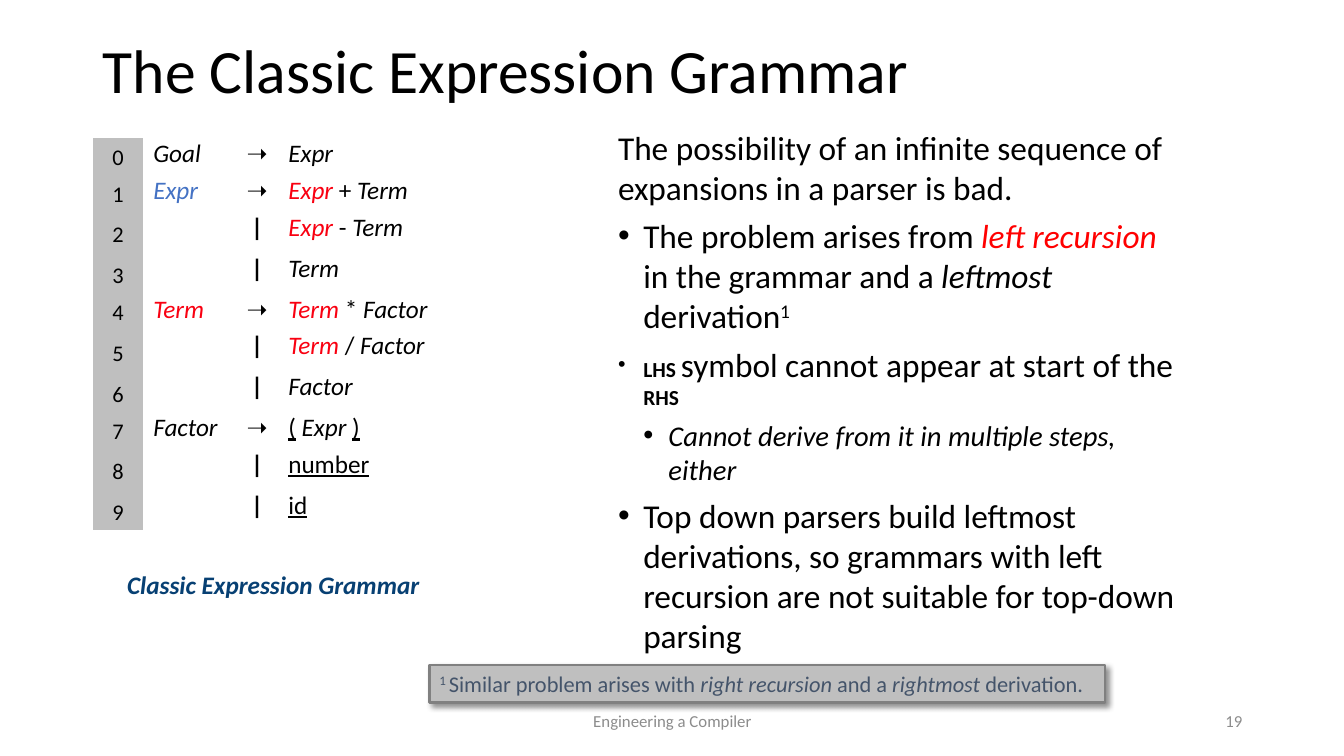
from lxml import etree
from pptx import Presentation
from pptx.dml.color import RGBColor
from pptx.enum.shapes import MSO_SHAPE
from pptx.enum.text import MSO_ANCHOR, MSO_AUTO_SIZE, PP_ALIGN
from pptx.oxml import parse_xml
from pptx.oxml.ns import nsdecls, qn
from pptx.util import Inches, Pt

LEFT, CENTER, RIGHT = PP_ALIGN.LEFT, PP_ALIGN.CENTER, PP_ALIGN.RIGHT
TOP, MIDDLE, BOTTOM = MSO_ANCHOR.TOP, MSO_ANCHOR.MIDDLE, MSO_ANCHOR.BOTTOM
NO_AUTOFIT = MSO_AUTO_SIZE.NONE
RECTANGLE = MSO_SHAPE.RECTANGLE
NO_TABLE_STYLE = "{2D5ABB26-0587-4C30-8999-92F81FD0307C}"
FONT = "Calibri"
COLORS = {
    "text": "000000", "grey": "BFBFBF", "border": "808080", "footer": "8C8C8C",
    "caption": "074073", "note": "44546A", "blue": "4472C4", "red": "F90011",
    "bright red": "FF0000",
}

ITALIC = {"italic": True}
BOLD = {"bold": True}
UNDERLINE = {"underline": True}
RED = {"italic": True, "color": "red"}
BLUE = {"italic": True, "color": "blue"}
SUPERSCRIPT = {"raised": True}
SMALL_BOLD = {"bold": True, "size": 15.3}

# Each rule: left-hand side runs, right-hand side runs
RULES = [
    ([("Goal", ITALIC)], [("Expr", ITALIC)]),
    ([("Expr", BLUE)], [("Expr ", RED), ("+ ", {}), ("Term", ITALIC)]),
    ([], [("Expr ", RED), ("- ", {}), ("Term", ITALIC)]),
    ([], [("Term", ITALIC)]),
    ([("Term", RED)], [("Term ", RED), ("* ", {}), ("Factor", ITALIC)]),
    ([], [("Term ", RED), ("/ ", {}), ("Factor", ITALIC)]),
    ([], [("Factor", ITALIC)]),
    ([("Factor", ITALIC)],
     [("(", UNDERLINE), (" ", {}), ("Expr ", ITALIC), (")", UNDERLINE)]),
    ([], [("number", UNDERLINE)]),
    ([], [("id", UNDERLINE)]),
]

# Each paragraph: level (None for no bullet), text size, runs
POINTS = [
    (None, 23.8, [("The possibility of an infinite sequence of expansions in a parser is bad.", {})]),
    (0, 23.8, [("The problem arises from ", {}),
               ("left recursion ", {"italic": True, "color": "bright red"}),
               ("in the grammar and a ", {}), ("leftmost ", ITALIC),
               ("derivation", {}), ("1", SUPERSCRIPT)]),
    (0, 23.8, [("LHS ", SMALL_BOLD), ("symbol cannot appear at start of the ", {}),
               ("RHS", SMALL_BOLD)]),
    (1, 20.4, [("Cannot derive from it in multiple steps, either", ITALIC)]),
    (0, 23.8, [("Top down parsers build leftmost derivations, so grammars with left "
                "recursion are not suitable for top-down parsing", {})]),
]


def rgb(name):
    return RGBColor.from_string(COLORS[name])


class SlideBuilder:
    def __init__(self, presentation):
        self.slide = presentation.slides.add_slide(presentation.slide_layouts[1])
        for placeholder in list(self.slide.placeholders):
            if placeholder.placeholder_format.idx > 1:
                placeholder.element.getparent().remove(placeholder.element)

    def add_runs(self, paragraph, runs, size, color="text", align=LEFT):
        paragraph.alignment = align
        for text, style in runs:
            run = paragraph.add_run()
            run.text = text
            font = run.font
            font.name = FONT
            font.size = Pt(style.get("size", size))
            font.color.rgb = rgb(style.get("color", color))
            font.bold = style.get("bold", False)
            font.italic = style.get("italic", False)
            font.underline = style.get("underline", False)
            if style.get("raised"):
                font._element.set("baseline", "30000")

    def place(self, shape, left, top, width, height, anchor):
        shape.left, shape.top = Inches(left), Inches(top)
        shape.width, shape.height = Inches(width), Inches(height)
        frame = shape.text_frame
        frame.word_wrap = True
        frame.auto_size = NO_AUTOFIT
        frame.vertical_anchor = anchor
        return frame

    def title(self, text, *box):
        paragraph = self.place(self.slide.shapes.title, *box, MIDDLE).paragraphs[0]
        paragraph.line_spacing = 0.9
        self.add_runs(paragraph, [(text, {})], 44)

    def body(self, points, *box):
        frame = self.place(self.slide.placeholders[1], *box, TOP)
        for index, (level, size, runs) in enumerate(points):
            paragraph = frame.add_paragraph() if index else frame.paragraphs[0]
            paragraph.space_before = Pt(6 if index else 0)
            paragraph.level = level or 0
            self.add_runs(paragraph, runs, size)
            self.bullet(paragraph, level)

    def bullet(self, paragraph, level):
        properties = paragraph._p.get_or_add_pPr()
        bulleted = level is not None
        properties.set("marL", str(Inches(0.25 * (level + 1)) if bulleted else 0))
        properties.set("indent", str(Inches(-0.25) if bulleted else 0))
        if bulleted:
            etree.SubElement(properties, qn("a:buFont")).set("typeface", "Arial")
            etree.SubElement(properties, qn("a:buChar")).set("char", "•")
        else:
            etree.SubElement(properties, qn("a:buNone"))

    def text(self, text, size, color, align, anchor, *box, **style):
        shape = self.slide.shapes.add_textbox(0, 0, 0, 0)
        frame = self.place(shape, *box, anchor)
        self.add_runs(frame.paragraphs[0], [(text, style)], size, color, align)

    def note(self, runs, *box):
        shape = self.slide.shapes.add_shape(RECTANGLE, 0, 0, 0, 0)
        frame = self.place(shape, *box, TOP)
        shape.fill.solid()
        shape.fill.fore_color.rgb = rgb("grey")
        shape.line.color.rgb = rgb("border")
        shape.line.width = Pt(1.5)
        shape.element.spPr.append(parse_xml(
            f'<a:effectLst {nsdecls("a")}><a:outerShdw blurRad="{Pt(4)}" dist="{Pt(3)}" '
            'dir="2700000" algn="tl" rotWithShape="0"><a:srgbClr val="000000">'
            '<a:alpha val="43000"/></a:srgbClr></a:outerShdw></a:effectLst>'))
        self.add_runs(frame.paragraphs[0], runs, 16, "note")

    def grammar(self, rules, column_widths, left, top, height):
        shape = self.slide.shapes.add_table(
            len(rules), len(column_widths), Inches(left), Inches(top),
            Inches(sum(column_widths)), Inches(height))
        table = shape.table
        table.first_row = table.horz_banding = False
        next(shape.element.iter(qn("a:tableStyleId"))).text = NO_TABLE_STYLE
        for column, width in zip(table.columns, column_widths):
            column.width = Inches(width)
        for row, (left_side, right_side) in enumerate(rules):
            number = table.cell(row, 0)
            number.fill.solid()
            number.fill.fore_color.rgb = rgb("grey")
            number.vertical_anchor = BOTTOM
            paragraph = number.text_frame.paragraphs[0]
            paragraph.line_spacing = 0.8
            self.add_runs(paragraph, [(str(row), {})], 16, align=CENTER)
            symbol = [("➝" if left_side else "|", BOLD)]
            for column, runs in enumerate([left_side, symbol, right_side], 1):
                cell = table.cell(row, column)
                cell.fill.background()
                if runs:
                    paragraph = cell.text_frame.paragraphs[0]
                    paragraph.line_spacing = Pt(19)
                    self.add_runs(paragraph, runs, 18, align=CENTER if column == 2 else LEFT)


def main():
    presentation = Presentation()
    presentation.slide_width, presentation.slide_height = Inches(13.33), Inches(7.5)
    builder = SlideBuilder(presentation)
    builder.title("The Classic Expression Grammar", 0.92, 0, 11.5, 1.45)
    builder.body(POINTS, 6.03, 1.21, 5.82, 5.08)
    builder.text("Classic Expression Grammar", 18, "caption", CENTER, TOP,
                 0.75, 5.6, 3.92, 0.4, bold=True, italic=True)
    builder.text("19", 12, "footer", RIGHT, MIDDLE, 9.42, 6.95, 3, 0.4)
    builder.grammar(RULES, [0.5, 0.92, 0.42, 1.75], 0.92, 1.37, 3.64)
    builder.text("Engineering a Compiler", 12, "footer", CENTER, MIDDLE, 4.42, 6.95, 4.5, 0.4)
    builder.note([("1 ", SUPERSCRIPT), ("Similar problem arises with ", {}),
                  ("right recursion ", ITALIC), ("and a ", {}),
                  ("rightmost ", ITALIC), ("derivation.", {})], 4.26, 6.6, 6.7, 0.37)
    presentation.save("out.pptx")


if __name__ == "__main__":
    main()
